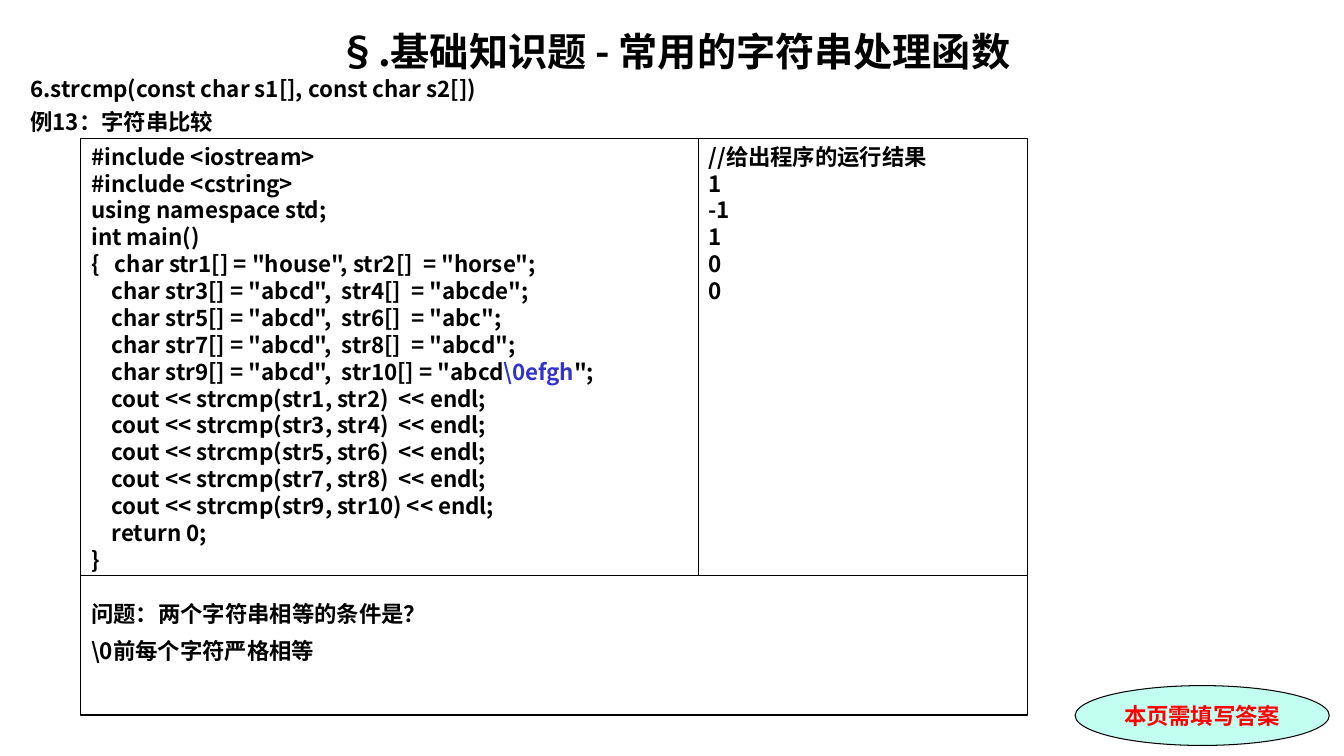
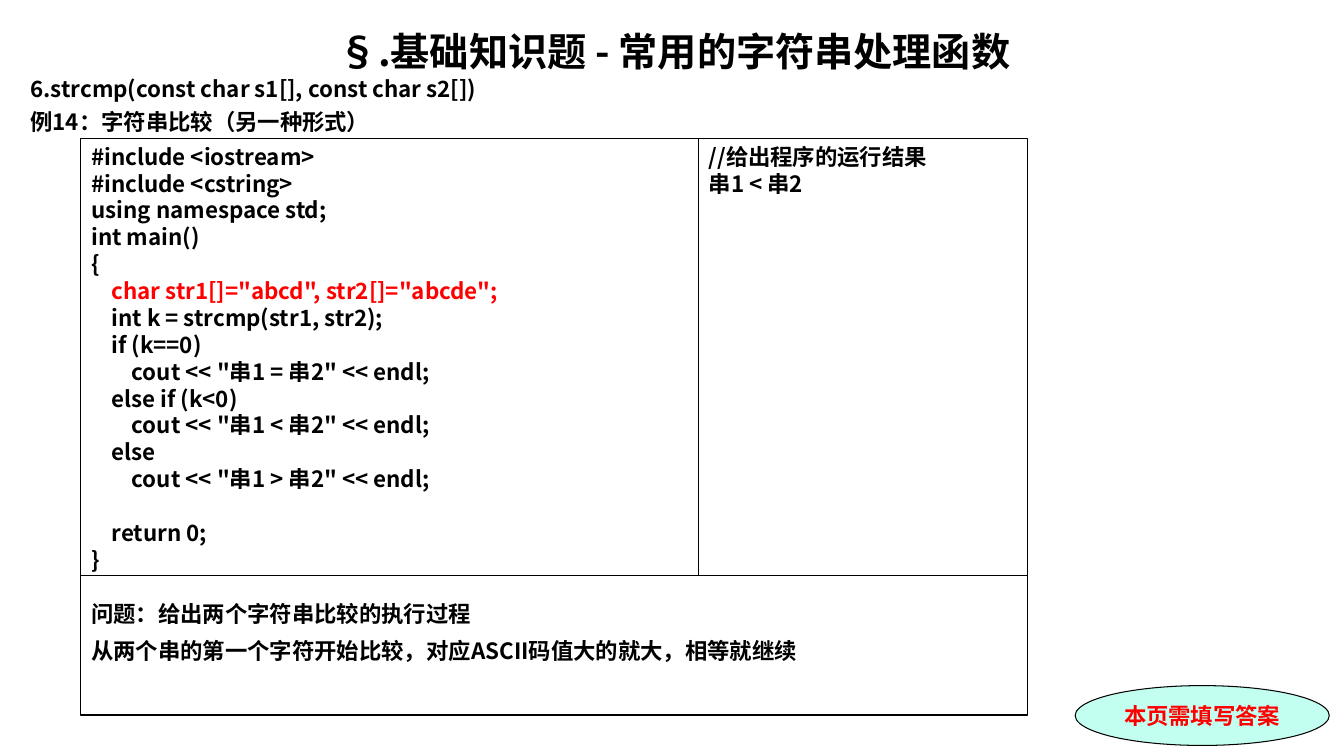
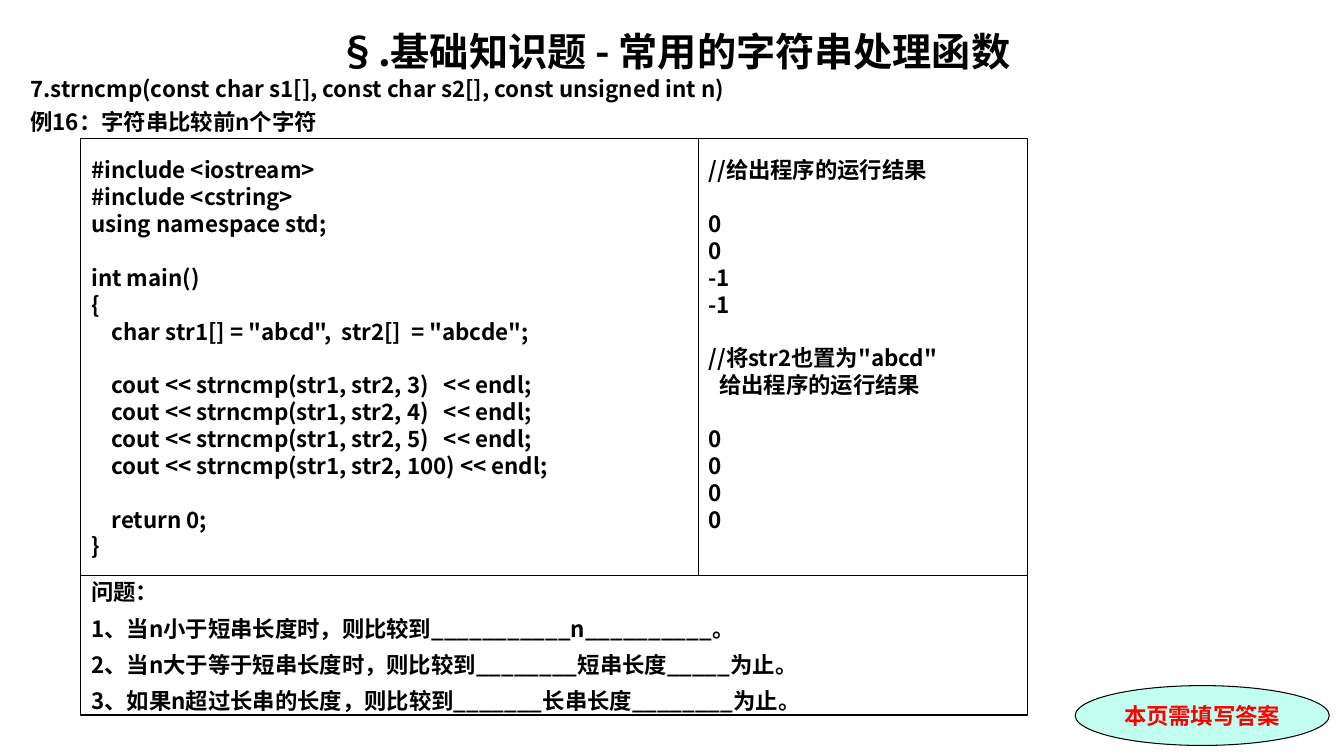
"""Build three exercise slides on comparing C strings."""
from dataclasses import dataclass
from typing import NamedTuple

from lxml import etree
from pptx import Presentation
from pptx.dml.color import RGBColor
from pptx.enum.shapes import MSO_SHAPE
from pptx.enum.text import MSO_ANCHOR, MSO_AUTO_SIZE, PP_ALIGN
from pptx.oxml.ns import qn
from pptx.util import Pt

RECTANGLE, OVAL = MSO_SHAPE.RECTANGLE, MSO_SHAPE.OVAL
LEFT, CENTER, JUSTIFY = PP_ALIGN.LEFT, PP_ALIGN.CENTER, PP_ALIGN.JUSTIFY
TOP, MIDDLE = MSO_ANCHOR.TOP, MSO_ANCHOR.MIDDLE
NO_AUTOFIT = MSO_AUTO_SIZE.NONE

BLACK = RGBColor(0x00, 0x00, 0x00)
RED = RGBColor(0xFF, 0x00, 0x00)
BLUE = RGBColor(0x33, 0x33, 0xCC)
MINT = RGBColor(0xC2, 0xFF, 0xF0)

SANS = "Noto Sans CJK SC"
SERIF = "Times New Roman"
TITLE_SIZE, TEXT_SIZE = 28, 16
LEADING = 1.2

PX = 9525
PT_PER_PX = 0.75
INSET = 10

TITLE = "§.基础知识题 - 常用的字符串处理函数"
BADGE = "本页需填写答案"
CONTINUATION = "给出程序的运行结果"


class Box(NamedTuple):
    """Left, top, width and height in px."""
    left: int
    top: int
    width: int
    height: int


SLIDE_W, SLIDE_H = 1280, 720
TITLE_BOX = Box(19, 26, 1247, 45)
HEADING_BOX = Box(19, 72, 1247, 60)
CODE_BOX = Box(77, 132, 588, 416)
OUTPUT_BOX = Box(CODE_BOX.left + CODE_BOX.width, CODE_BOX.top, 314, CODE_BOX.height)
QUESTION_BOX = Box(CODE_BOX.left, CODE_BOX.top + CODE_BOX.height,
                   CODE_BOX.width + OUTPUT_BOX.width, 133)
BADGE_BOX = Box(1024, 653, 242, 57)


@dataclass(frozen=True)
class Exercise:
    """Content of one exercise slide."""
    function: str
    example: str
    code: str
    output: str
    questions: str
    question_inset: int = 24
    highlight: str = ""
    highlight_color: RGBColor = BLACK


EXERCISES = (
    Exercise(
        function="6.strcmp(const char s1[], const char s2[])",
        example="例13：字符串比较",
        code=r"""#include <iostream>
#include <cstring>
using namespace std;
int main()
{   char str1[] = "house", str2[]  = "horse";
    char str3[] = "abcd",  str4[]  = "abcde";
    char str5[] = "abcd",  str6[]  = "abc";
    char str7[] = "abcd",  str8[]  = "abcd";
    char str9[] = "abcd",  str10[] = "abcd\0efgh";
    cout << strcmp(str1, str2)  << endl;
    cout << strcmp(str3, str4)  << endl;
    cout << strcmp(str5, str6)  << endl;
    cout << strcmp(str7, str8)  << endl;
    cout << strcmp(str9, str10) << endl;
    return 0;
}""",
        output="""//给出程序的运行结果
1
-1
1
0
0""",
        questions=r"""问题：两个字符串相等的条件是？
\0前每个字符严格相等""",
        highlight=r"\0efgh",
        highlight_color=BLUE,
    ),
    Exercise(
        function="6.strcmp(const char s1[], const char s2[])",
        example="例14：字符串比较（另一种形式）",
        code="""#include <iostream>
#include <cstring>
using namespace std;
int main()
{
    char str1[]="abcd", str2[]="abcde";
    int k = strcmp(str1, str2);
    if (k==0)
        cout << "串1 = 串2" << endl;
    else if (k<0)
        cout << "串1 < 串2" << endl;
    else
        cout << "串1 > 串2" << endl;

    return 0;
}""",
        output="""//给出程序的运行结果
串1 < 串2""",
        questions="""问题：给出两个字符串比较的执行过程
从两个串的第一个字符开始比较，对应ASCII码值大的就大，相等就继续""",
        highlight='char str1[]="abcd", str2[]="abcde";',
        highlight_color=RED,
    ),
    Exercise(
        function="7.strncmp(const char s1[], const char s2[], const unsigned int n)",
        example="例16：字符串比较前n个字符",
        code="""#include <iostream>
#include <cstring>
using namespace std;

int main()
{
    char str1[] = "abcd",  str2[]  = "abcde";

    cout << strncmp(str1, str2, 3)   << endl;
    cout << strncmp(str1, str2, 4)   << endl;
    cout << strncmp(str1, str2, 5)   << endl;
    cout << strncmp(str1, str2, 100) << endl;

    return 0;
}""",
        output="""//给出程序的运行结果

0
0
-1
-1

//将str2也置为"abcd"
给出程序的运行结果

0
0
0
0""",
        questions="""问题：
1、当n小于短串长度时，则比较到___________n__________。
2、当n大于等于短串长度时，则比较到________短串长度_____为止。
3、如果n超过长串的长度，则比较到_______长串长度________为止。""",
        question_inset=3,
    ),
)


def place(sp, box: Box) -> None:
    """Move and size a shape."""
    sp.left, sp.top, sp.width, sp.height = (v * PX for v in box)


def add_run(p, text: str, *, size: int, color: RGBColor, face: str) -> None:
    """Add one bold run with Latin and East Asian fonts."""
    r = p.add_run()
    r.text = text
    r.font.size = Pt(size)
    r.font.bold = True
    r.font.color.rgb = color
    r.font.name = face
    etree.SubElement(r.font._element, qn("a:ea")).set("typeface", SANS)


def set_text(sp, text: str, *, size: int = TEXT_SIZE, color: RGBColor = BLACK,
             face: str = SANS, align: PP_ALIGN = LEFT, anchor: MSO_ANCHOR = TOP,
             gap: float = 0, inset_top: int = 0, highlight: str = "",
             highlight_color: RGBColor = BLACK) -> None:
    """Write lines into a shape, turning empty lines into paragraph spacing."""
    tf = sp.text_frame
    tf.auto_size = NO_AUTOFIT
    tf.word_wrap = True
    tf.vertical_anchor = anchor
    tf.margin_left = tf.margin_right = INSET * PX
    tf.margin_top, tf.margin_bottom = inset_top * PX, 0
    p, skipped = None, 0
    for line in text.splitlines():
        if not line:
            skipped += 1
            continue
        first = p is None
        p = tf.paragraphs[0] if first else tf.add_paragraph()
        pPr = p._p.get_or_add_pPr()
        pPr.set("marL", str(INSET * PX if line == CONTINUATION else 0))
        pPr.set("indent", "0")
        etree.SubElement(pPr, qn("a:buNone"))
        p.alignment = align
        p.line_spacing = Pt(size * LEADING)
        p.space_before = Pt(0 if first else gap + skipped * size * LEADING)
        skipped = 0
        before, marked, after = line.partition(highlight) if highlight else (line, "", "")
        for part, tint in ((before, color), (marked, highlight_color), (after, color)):
            if part:
                add_run(p, part, size=size, color=tint, face=face)


def add_outlined(s, kind: MSO_SHAPE, box: Box, fill: RGBColor | None = None):
    """Add a shape with a thin black outline."""
    sp = s.shapes.add_shape(kind, *(v * PX for v in box))
    sp.shadow.inherit = False
    if fill is None:
        sp.fill.background()
    else:
        sp.fill.solid()
        sp.fill.fore_color.rgb = fill
    sp.line.color.rgb = BLACK
    sp.line.width = Pt(0.75)
    return sp


def add_exercise(prs, ex: Exercise) -> None:
    """Add one exercise slide."""
    s = prs.slides.add_slide(prs.slide_layouts[1])
    title, heading = s.placeholders
    place(title, TITLE_BOX)
    set_text(title, TITLE, size=TITLE_SIZE, align=CENTER)
    place(heading, HEADING_BOX)
    set_text(heading, f"{ex.function}\n{ex.example}", align=JUSTIFY, gap=3.7)

    badge = add_outlined(s, OVAL, BADGE_BOX, MINT)
    set_text(badge, BADGE, color=RED, face=SERIF, align=CENTER, anchor=MIDDLE)

    code_height = len(ex.code.splitlines()) * TEXT_SIZE * LEADING / PT_PER_PX
    code_inset = round((CODE_BOX.height - code_height) / 2) + 1
    code = add_outlined(s, RECTANGLE, CODE_BOX)
    set_text(code, ex.code, inset_top=code_inset, highlight=ex.highlight,
             highlight_color=ex.highlight_color)
    questions = add_outlined(s, RECTANGLE, QUESTION_BOX)
    set_text(questions, ex.questions, gap=6.7, inset_top=ex.question_inset)
    output = add_outlined(s, RECTANGLE, OUTPUT_BOX)
    set_text(output, ex.output, inset_top=code_inset)


def main() -> None:
    """Build and save the presentation."""
    prs = Presentation()
    prs.slide_width, prs.slide_height = SLIDE_W * PX, SLIDE_H * PX
    for ex in EXERCISES:
        add_exercise(prs, ex)
    prs.save("out.pptx")


if __name__ == "__main__":
    main()
